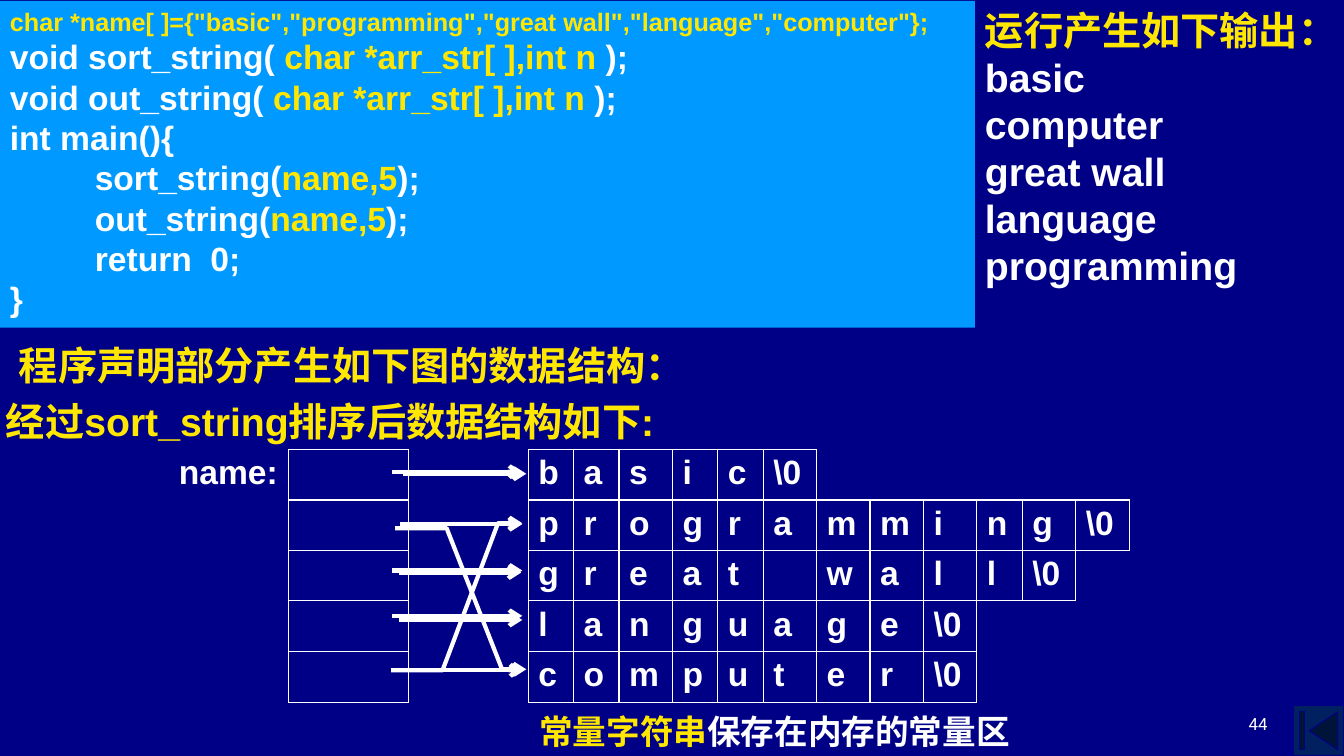
from lxml import etree
from pptx import Presentation
from pptx.dml.color import RGBColor
from pptx.enum.shapes import MSO_CONNECTOR, MSO_SHAPE
from pptx.enum.text import MSO_ANCHOR, PP_ALIGN
from pptx.oxml.ns import qn
from pptx.util import Inches, Pt

LINE = MSO_CONNECTOR.STRAIGHT
RECT = MSO_SHAPE.RECTANGLE
BUTTON = MSO_SHAPE.ACTION_BUTTON_BEGINNING
TOP, BOTTOM = MSO_ANCHOR.TOP, MSO_ANCHOR.BOTTOM
LEFT, CENTER, RIGHT = PP_ALIGN.LEFT, PP_ALIGN.CENTER, PP_ALIGN.RIGHT

NAVY = RGBColor(0x00, 0x00, 0x86)
DARK = RGBColor(0x00, 0x20, 0x60)
BLUE = RGBColor(0x00, 0x99, 0xFF)
GOLD = RGBColor(0xFF, 0xE7, 0x01)
YELLOW = RGBColor(0xFF, 0xFF, 0x00)
WHITE = RGBColor(0xFF, 0xFF, 0xFF)


def write(shape, lines, size):
    """Fill a shape with lines, each a list of (text, colour) runs."""
    frame = shape.text_frame
    frame.word_wrap = True
    frame.vertical_anchor = TOP
    for i, line in enumerate(lines):
        para = frame.paragraphs[0] if i == 0 else frame.add_paragraph()
        para.alignment = LEFT
        para.font.size, para.font.name, para.font.bold = Pt(size), "Arial", True
        for text, color in line:
            run = para.add_run()
            run.text = text
            run.font.color.rgb = color
    return frame


def point(shape):
    """Give a line its white stroke and an arrowhead at its end."""
    shape.line.color.rgb = WHITE
    shape.line.width = Pt(3)
    stroke = shape.line._get_or_add_ln()
    etree.SubElement(stroke, qn("a:tailEnd"), type="arrow")


deck = Presentation()
deck.slide_width, deck.slide_height = Inches(13.33), Inches(7.5)
slide = deck.slides.add_slide(deck.slide_layouts[6])
slide.background.fill.solid()
slide.background.fill.fore_color.rgb = NAVY
shapes = slide.shapes

# Back button and page number
button = shapes.add_shape(BUTTON, Inches(12.83), Inches(7), Inches(0.5), Inches(0.5))
button.shadow.inherit = False
button.fill.solid()
button.fill.fore_color.rgb = DARK
button.line.color.rgb = NAVY
button.line.width = Pt(0.75)

page = shapes.add_textbox(Inches(9.56), Inches(6.83), Inches(3.11), Inches(0.5))
page.text_frame.vertical_anchor = BOTTOM
page.text_frame.word_wrap = True
para = page.text_frame.paragraphs[0]
para.text = "44"
para.alignment = RIGHT
para.font.size, para.font.name = Pt(12), "Roboto"
para.font.color.rgb = WHITE

# Memory table: label, pointer box, gap, then one letter a cell
words = ["basic", "programming", "great wall", "language", "computer"]
widths = [1.19] * 3 + [0.45, 0.45, 0.53, 0.45, 0.45] + [0.53] * 4 + [0.45, 0.53, 0.53]
heights = [0.48, 0.47, 0.48, 0.48, 0.51]
grid = shapes.add_table(len(words), len(widths), Inches(1.67), Inches(4.46),
                        Inches(sum(widths)), Inches(sum(heights))).table
grid.first_row = grid.horz_banding = False
for col, width in zip(grid.columns, widths):
    col.width = Inches(width)
for row, height in zip(grid.rows, heights):
    row.height = Inches(height)

rows = [["", "", ""] + list(word) + ["\\0"] for word in words]
rows[0][0] = "name:"
boxed = {(r, c) for r, row in enumerate(rows) for c in range(len(row)) if c not in (0, 2)}
sides = {"a:lnL": (0, -1), "a:lnR": (0, 1), "a:lnT": (-1, 0), "a:lnB": (1, 0)}
for r, row in enumerate(rows):
    for c in range(len(widths)):
        cell = grid.cell(r, c)
        para = cell.text_frame.paragraphs[0]
        para.text = row[c].strip() if c < len(row) else ""
        para.alignment = CENTER if c == 0 else LEFT
        para.font.size, para.font.name, para.font.bold = Pt(24), "Arial", True
        para.font.color.rgb = WHITE
        props = cell._tc.get_or_add_tcPr()
        for tag, (down, over) in sides.items():
            edge = etree.SubElement(props, qn(tag), w=str(Pt(1)))
            if boxed & {(r, c), (r + down, c + over)}:
                ink = etree.SubElement(edge, qn("a:solidFill"))
                etree.SubElement(ink, qn("a:srgbClr"), val=str(WHITE))
            else:
                etree.SubElement(edge, qn("a:noFill"))
        cell.fill.background()

# Straight arrows: start, end, height
for start, end, y in [(4, 5.22, 4.7), (3.97, 5.18, 5.2), (3.96, 5.17, 5.68),
                      (3.96, 5.18, 6.15), (3.98, 5.19, 6.65), (3.89, 5.18, 4.68),
                      (3.89, 5.18, 5.66), (3.89, 5.18, 6.11)]:
    arrow = shapes.add_connector(LINE, Inches(start), Inches(y), Inches(end), Inches(y))
    point(arrow)
    etree.SubElement(arrow._element.spPr, qn("a:effectLst"))

# Crossed arrows of the sorted pointers
for x, y, end in [(3.92, 5.24, 6.64), (3.88, 6.65, 5.19)]:
    pen = shapes.build_freeform(Inches(x), Inches(y))
    pen.add_line_segments([(Inches(x + 0.51), Inches(y)), (Inches(x + 1.06), Inches(end)),
                           (Inches(x + 1.3), Inches(end))], close=False)
    cross = pen.convert_to_shape()
    cross.shadow.inherit = False
    cross.fill.background()
    point(cross)

# Headings and footnote
sorted_box = shapes.add_textbox(Inches(0), Inches(3.89), Inches(6.84), Inches(0.57))
write(sorted_box, [[("经过sort_string排序后数据结构如下:", GOLD)]], 28).margin_left = Inches(0.06)
note = shapes.add_textbox(Inches(5.25), Inches(7), Inches(5.51), Inches(0.5))
write(note, [[("常量字符串", GOLD), ("保存在内存的常量区", WHITE)]], 24)
first = shapes.add_textbox(Inches(0.09), Inches(3.34), Inches(7.76), Inches(0.57))
write(first, [[("程序声明部分产生如下图的数据结构：", GOLD)]], 28)

# Code panel
panel = shapes.add_shape(RECT, Inches(0), Inches(0.01), Inches(9.67), Inches(3.24))
panel.shadow.inherit = False
panel.fill.solid()
panel.fill.fore_color.rgb = BLUE
panel.line.fill.background()
args = ("char *arr_str[ ],int n", GOLD)
code = write(panel, [
    [('char *name[ ]={"basic","programming', GOLD), ('"', YELLOW),
     (',"great wall","language","computer"};', GOLD)],
    [("void sort_string( ", WHITE), args, (" );", WHITE)],
    [("void out_string( ", WHITE), args, (" );", WHITE)],
    [("int main(){", WHITE)],
    [("\t     sort_string(", WHITE), ("name,5", GOLD), (");", WHITE)],
    [("\t     out_string(", WHITE), ("name,5", GOLD), (");", WHITE)],
    [("\t     return  0;", WHITE)],
    [("}", WHITE)],
], 24)
code.paragraphs[0].font.size = Pt(18)
for para in code.paragraphs:
    props = para._p.get_or_add_pPr()
    props.set("marL", str(Inches(0.38)))
    props.set("indent", str(Inches(-0.38)))

# Program output
output = shapes.add_textbox(Inches(9.67), Inches(0.01), Inches(3.46), Inches(2.9))
write(output, [[("运行产生如下输出：", GOLD)]] + [[(word, WHITE)] for word in sorted(words)], 28)

deck.save("out.pptx")
